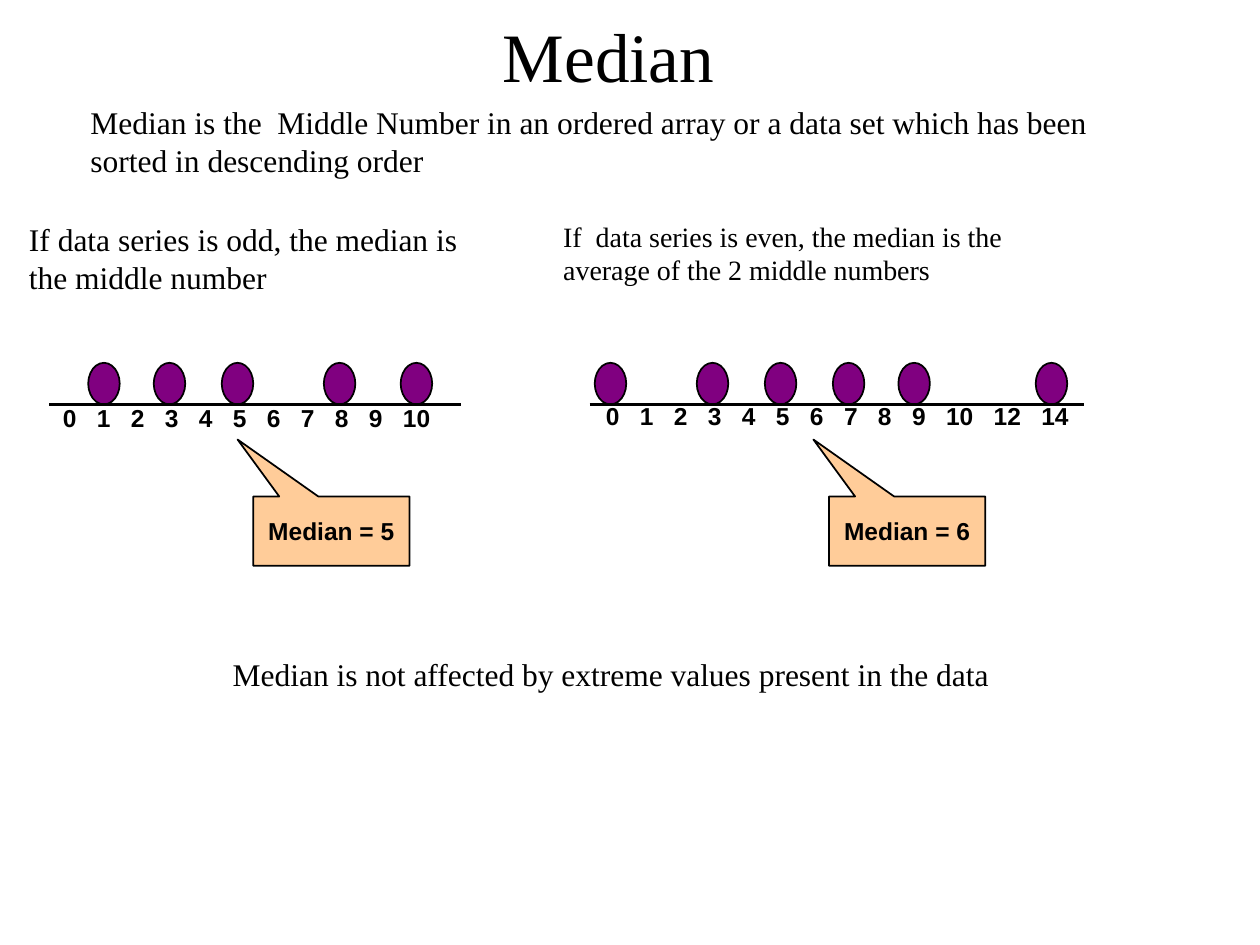
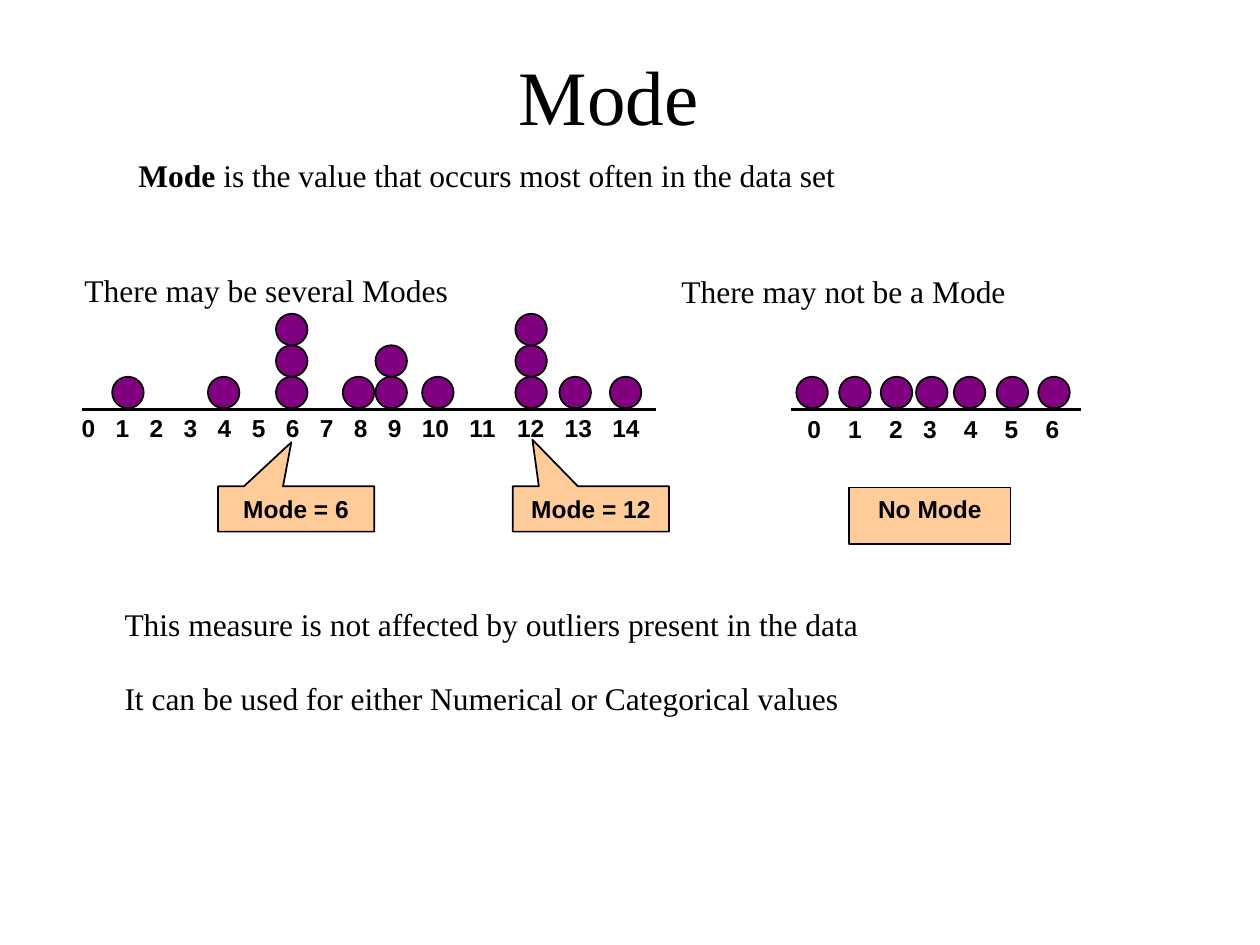
from lxml import etree
from pptx import Presentation
from pptx.dml.color import RGBColor
from pptx.enum.shapes import MSO_CONNECTOR, MSO_SHAPE
from pptx.enum.text import MSO_ANCHOR, PP_ALIGN
from pptx.oxml.ns import qn
from pptx.util import Inches, Pt

BLACK = RGBColor(0x00, 0x00, 0x00)
PURPLE = RGBColor(0x80, 0x00, 0x80)
PEACH = RGBColor(0xFF, 0xCC, 0x99)
SERIF, SANS = "Times New Roman", "Arial"
LEFT, CENTER = PP_ALIGN.LEFT, PP_ALIGN.CENTER
TOP, MIDDLE = MSO_ANCHOR.TOP, MSO_ANCHOR.MIDDLE
OVAL, RECTANGLE = MSO_SHAPE.OVAL, MSO_SHAPE.RECTANGLE
CALLOUT = MSO_SHAPE.RECTANGULAR_CALLOUT
STRAIGHT = MSO_CONNECTOR.STRAIGHT

DOT_WIDTH = 0.25
DIGIT_WIDTH = 0.108  # one bold 14 pt digit
LABEL_GAP, WIDE_GAP = 0.162, 0.216


def set_font(paragraph, size, name=SERIF, bold=False):
    """Give a paragraph its font in black."""
    font = paragraph.font
    font.name, font.size, font.bold = name, Pt(size), bold
    font.color.rgb = BLACK


def set_frame(frame, inset, anchor):
    """Set wrapping, side insets and vertical anchor of a text frame."""
    frame.word_wrap = True
    frame.vertical_anchor = anchor
    frame.margin_left = frame.margin_right = Inches(inset)
    frame.margin_top = frame.margin_bottom = Inches(0.05)


def add_text(slide, box, lines, size=18, align=LEFT, inset=0.1, anchor=TOP,
             gap=0):
    """Add a serif text box with one paragraph per line; return its frame."""
    frame = slide.shapes.add_textbox(*map(Inches, box)).text_frame
    set_frame(frame, inset, anchor)
    frame.text = "\n".join(lines)
    for paragraph in frame.paragraphs:
        paragraph.alignment = align
        paragraph.space_after = Pt(gap)
        set_font(paragraph, size)
    return frame


def add_title(slide, text, top, height, size):
    """Add the centred slide title."""
    add_text(slide, (0.58, top, 8.5, height), [text], size, CENTER,
             anchor=MIDDLE)


def add_filled(slide, kind, box, fill):
    """Add a filled shape with a thin black outline."""
    shape = slide.shapes.add_shape(kind, *map(Inches, box))
    shape.shadow.inherit = False
    shape.fill.solid()
    shape.fill.fore_color.rgb = fill
    shape.line.color.rgb = BLACK
    shape.line.width = Pt(1)
    return shape


def add_axis(slide, start, end, y):
    """Draw the number line."""
    axis = slide.shapes.add_connector(
        STRAIGHT, Inches(start), Inches(y), Inches(end), Inches(y))
    axis.line.color.rgb = BLACK
    axis.line.width = Pt(2)
    etree.SubElement(axis._element.spPr, qn("a:effectLst"))


def add_axis_labels(slide, box, values, gaps):
    """Write the axis numbers on tab stops, spaced by the given gaps."""
    frame = add_text(slide, box, ["\t".join(map(str, values))])
    paragraph = frame.paragraphs[0]
    set_font(paragraph, 14, SANS, True)
    stops = etree.Element(qn("a:tabLst"))
    position = 0
    for value, gap in zip(values, gaps):
        position += len(str(value)) * DIGIT_WIDTH + gap
        etree.SubElement(stops, qn("a:tab"), pos=str(Inches(position)),
                         algn="l")
    properties = paragraph._p.get_or_add_pPr()
    properties.find(qn("a:defRPr")).addprevious(stops)


def add_dots(slide, stacks, top, height):
    """Draw (left, count) stacks of dots; top is that of the lowest dot."""
    for left, count in stacks:
        for level in range(count):
            box = (left, top - level * height, DOT_WIDTH, height)
            add_filled(slide, OVAL, box, PURPLE)


def add_result(slide, text, box, pointer=None):
    """Add a result box, with a callout tip if a pointer is given."""
    result = add_filled(slide, CALLOUT if pointer else RECTANGLE, box, PEACH)
    if pointer:
        result.adjustments[0], result.adjustments[1] = pointer
    frame = result.text_frame
    set_frame(frame, 0.05, MIDDLE if pointer else TOP)
    frame.text = text
    frame.paragraphs[0].alignment = CENTER
    set_font(frame.paragraphs[0], 14, SANS, True)


def build_median(slide):
    """Build the slide on the median."""
    add_title(slide, "Median", 0.12, 0.63, 39.6)
    add_text(slide, (0.62, 0.77, 8.27, 1.01),
             ["Median is the  Middle Number in an ordered array or a data set "
              "which has been sorted in descending order"])
    add_text(slide, (0.18, 1.7, 3.79, 0.71),
             ["If data series is odd, the median is the middle number"],
             inset=0.05)
    add_text(slide, (4.42, 1.69, 4.29, 0.64),
             ["If  data series is even, the median is the average of the 2 "
              "middle numbers"], 16, inset=0.05)

    odd_values = list(range(11))
    even_values = odd_values + [12, 14]
    add_axis_labels(slide, (0.4, 3.15, 4.36, 0.59), odd_values,
                    [LABEL_GAP] * 10)
    add_axis_labels(slide, (4.71, 3.13, 4.69, 0.59), even_values,
                    [LABEL_GAP] * 12)
    odd_dots = (0.7, 1.22, 1.76, 2.57, 3.18)
    even_dots = (4.72, 5.53, 6.07, 6.61, 7.13, 8.22)
    add_dots(slide, [(left, 1) for left in odd_dots + even_dots], 2.88, 0.33)
    add_axis(slide, 0.39, 3.66, 3.21)
    add_axis(slide, 4.68, 8.6, 3.21)

    for median, left in ((5, 2.01), (6, 6.58)):
        add_result(slide, f"Median = {median}", (left, 3.94, 1.24, 0.55),
                   (-0.6, -1.322))
    add_text(slide, (0.51, 5.15, 8.68, 0.4),
             ["Median is not affected by extreme values present in the data"],
             align=CENTER)


def build_mode(slide):
    """Build the slide on the mode."""
    add_title(slide, "Mode", 0.25, 1, 44)
    definition = add_text(slide, (1, 1.19, 7.92, 0.92), ["Mode "])
    sentence = definition.paragraphs[0]
    sentence.runs[0].font.bold = True
    sentence.add_run().text = (
        "is the value that occurs most often in the data set")
    add_text(slide, (0.62, 2.1, 3.59, 0.4), ["There may be several Modes"],
             inset=0.05)
    add_text(slide, (5.31, 2.11, 2.97, 0.4), ["There may not be a Mode"])

    add_axis_labels(slide, (0.55, 3.23, 4.73, 0.44), range(15),
                    [LABEL_GAP] * 14)
    add_axis_labels(slide, (6.31, 3.24, 2.47, 0.44), range(7),
                    [WIDE_GAP] * 2 + [LABEL_GAP] + [WIDE_GAP] * 3)
    add_axis(slide, 0.65, 5.21, 3.25)
    add_axis(slide, 6.28, 8.58, 3.25)
    several_modes = [(0.89, 1), (1.65, 1), (2.19, 3), (2.72, 1), (2.98, 2),
                     (3.35, 1), (4.09, 3), (4.44, 1), (4.84, 1)]
    no_mode = [(left, 1)
               for left in (6.32, 6.66, 6.99, 7.27, 7.57, 7.91, 8.24)]
    add_dots(slide, several_modes + no_mode, 2.99, DOT_WIDTH)

    add_result(slide, "Mode = 6", (1.73, 3.86, 1.24, 0.36), (-0.03, -1.471))
    add_result(slide, "Mode = 12", (4.07, 3.86, 1.24, 0.36), (-0.374, -1.529))
    add_result(slide, "No Mode", (6.74, 3.87, 1.28, 0.45))
    add_text(slide, (0.89, 4.75, 7.6, 1.31),
             ["This measure is not affected by outliers present in the data",
              "It can be used for either Numerical or Categorical values"],
             gap=21)


def main():
    """Build and save the presentation."""
    deck = Presentation()
    deck.slide_width, deck.slide_height = Inches(10), Inches(7.5)
    blank = deck.slide_layouts[6]
    for build in (build_median, build_mode):
        build(deck.slides.add_slide(blank))
    deck.save("out.pptx")


main()
